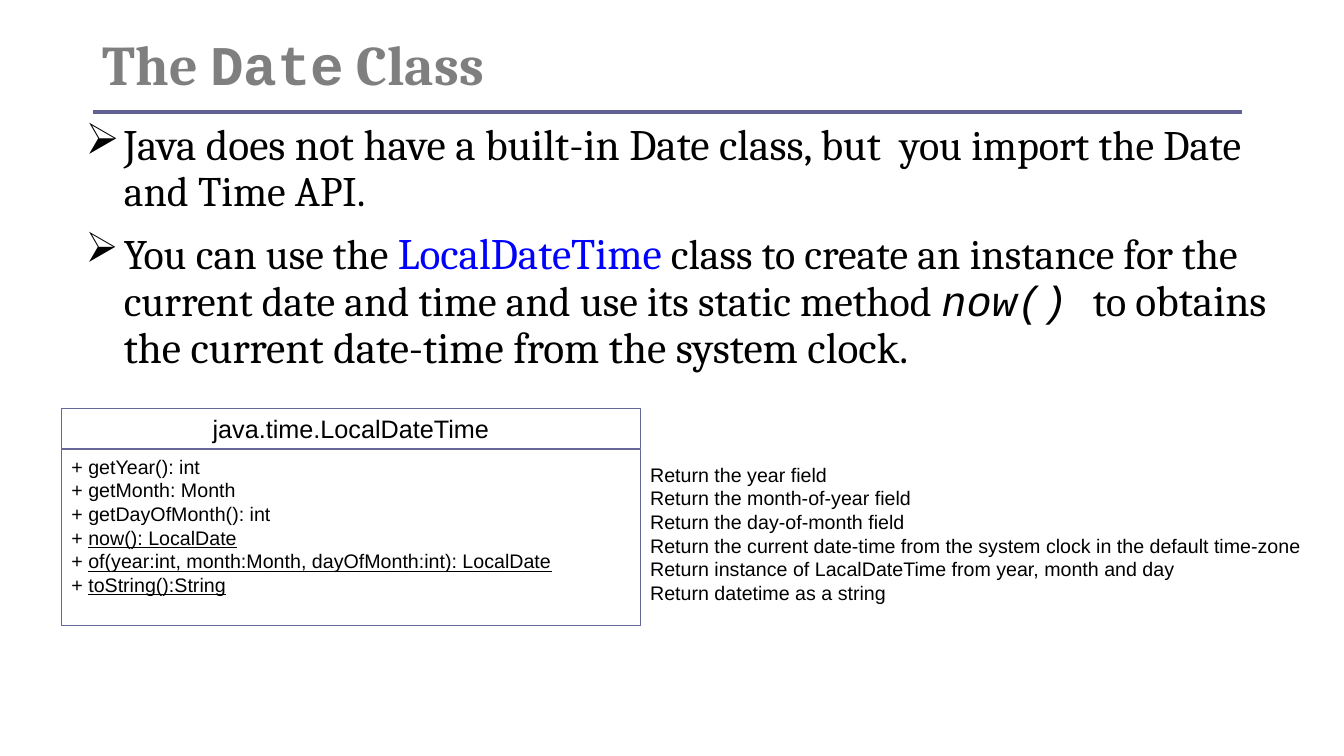
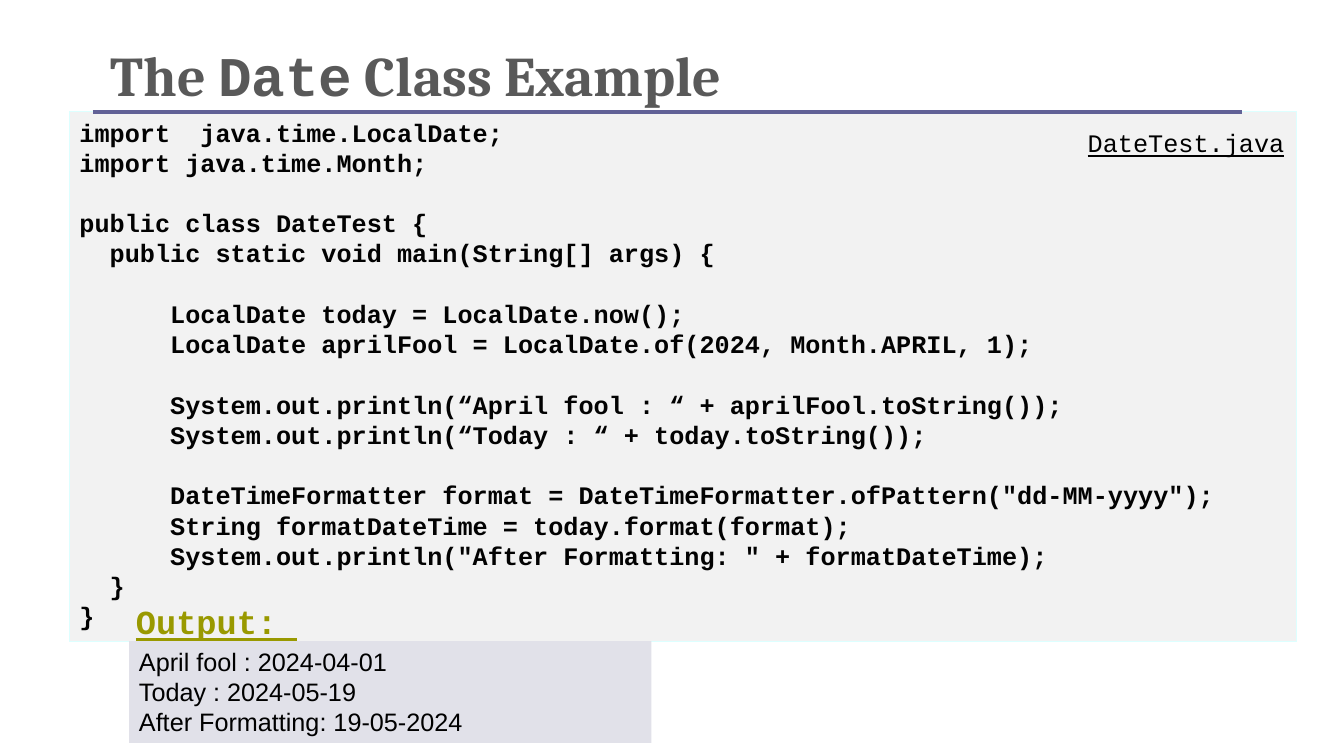
"""Build two slides about the Java date classes."""
from dataclasses import dataclass, replace
from typing import Optional, Union

from lxml import etree
from pptx import Presentation
from pptx.dml.color import RGBColor
from pptx.enum.shapes import MSO_CONNECTOR, MSO_SHAPE
from pptx.enum.text import MSO_ANCHOR, PP_ALIGN
from pptx.oxml.ns import qn
from pptx.util import Inches, Pt

RECTANGLE = MSO_SHAPE.RECTANGLE
STRAIGHT = MSO_CONNECTOR.STRAIGHT
TOP, BOTTOM = MSO_ANCHOR.TOP, MSO_ANCHOR.BOTTOM
LEFT, CENTER = PP_ALIGN.LEFT, PP_ALIGN.CENTER

COLORS = {
    "black": "000000",
    "code": "020202",
    "grey": "7F7F7F",
    "dark_grey": "595959",
    "blue": "0000FF",
    "olive": "999900",
    "rule": "616196",
    "uml_border": "666699",
    "code_fill": "F2F2F2",
    "code_border": "DDFFFF",
    "output_fill": "E1E1E9",
}
SERIF, SANS, MONO = "Cambria", "Arial", "Courier New"

CODE = """\
import  java.time.LocalDate;
import java.time.Month;

public class DateTest {
  public static void main(String[] args) {

      LocalDate today = LocalDate.now();
      LocalDate aprilFool = LocalDate.of(2024, Month.APRIL, 1);

      System.out.println(“April fool : “ + aprilFool.toString());
      System.out.println(“Today : “ + today.toString());

      DateTimeFormatter format = DateTimeFormatter.ofPattern("dd-MM-yyyy");
      String formatDateTime = today.format(format);
      System.out.println("After Formatting: " + formatDateTime);
  }
}"""


@dataclass(frozen=True)
class Run:
    """A stretch of text in one format."""
    text: str
    size: float = 18
    font: str = SANS
    color: str = "black"
    bold: bool = False
    italic: bool = False
    underline: bool = False


@dataclass(frozen=True)
class Box:
    """A place on the slide, in inches."""
    left: float
    top: float
    width: float
    height: float

    def lengths(self) -> list:
        """Return the four lengths that python-pptx expects."""
        return [Inches(n) for n in (self.left, self.top, self.width, self.height)]


@dataclass(frozen=True)
class Method:
    """A method of the class diagram and what it returns."""
    signature: str
    meaning: str
    underline: bool = False


METHODS = [
    Method("getYear(): int", "Return the year field"),
    Method("getMonth: Month", "Return the month-of-year field"),
    Method("getDayOfMonth(): int", "Return the day-of-month field"),
    Method("now(): LocalDate",
           "Return\u00a0the current date-time from the system clock in the default time-zone", True),
    Method("of(year:int, month:Month, dayOfMonth:int): LocalDate",
           "Return instance of LacalDateTime from year, month and day", True),
    Method("toString():String", "Return datetime as a string", True),
]
OUTPUT = ["April fool : 2024-04-01", "Today : 2024-05-19", "After Formatting: 19-05-2024"]


def rgb(name: str) -> RGBColor:
    """Look up a colour by name."""
    return RGBColor.from_string(COLORS[name])


def add_bullet(paragraph) -> None:
    """Give a paragraph a black arrowhead bullet."""
    properties = paragraph._p.get_or_add_pPr()
    color = etree.SubElement(properties, qn("a:buClr"))
    etree.SubElement(color, qn("a:srgbClr"), val=COLORS["black"])
    etree.SubElement(properties, qn("a:buFont"), typeface="Wingdings")
    etree.SubElement(properties, qn("a:buChar"), char="Ø")


def write_text(shape, paragraphs: list[list[Run]], *, anchor=TOP, align=LEFT,
               spacing: Union[float, Pt, None] = None, gap: float = 0,
               indent: tuple[float, float] = (0, 0), bullet: bool = False) -> None:
    """Fill a shape with paragraphs; an empty one becomes a gap of one line."""
    frame = shape.text_frame
    frame.word_wrap = True
    frame.vertical_anchor = anchor
    frame.margin_left = frame.margin_right = Inches(0.1)
    frame.margin_top = frame.margin_bottom = Inches(0.05)
    blank_line = False
    first = True
    for runs in paragraphs:
        if not runs:
            blank_line = True
            continue
        paragraph = frame.paragraphs[0] if first else frame.add_paragraph()
        properties = paragraph._p.get_or_add_pPr()
        if any(indent):
            properties.set("marL", str(Inches(indent[0])))
            properties.set("indent", str(Inches(indent[1])))
        if bullet:
            add_bullet(paragraph)
        paragraph.alignment = align
        if spacing is not None:
            paragraph.line_spacing = spacing
        if not first:
            paragraph.space_before = spacing if blank_line else Pt(gap)
        for item in runs:
            run = paragraph.add_run()
            run.text = item.text
            run.font.size = Pt(item.size)
            run.font.name = item.font
            run.font.color.rgb = rgb(item.color)
            run.font.bold = item.bold
            run.font.italic = item.italic
            run.font.underline = item.underline
        blank_line = first = False


def add_text(slide, box: Box, paragraphs: list[list[Run]], **text_format) -> None:
    """Add a plain text box."""
    write_text(slide.shapes.add_textbox(*box.lengths()), paragraphs, **text_format)


def add_panel(slide, box: Box, paragraphs: list[list[Run]], *, fill: Optional[str] = None,
              border: Optional[str] = None, **text_format) -> None:
    """Add a rectangle holding text."""
    panel = slide.shapes.add_shape(RECTANGLE, *box.lengths())
    panel.shadow.inherit = False
    if fill:
        panel.fill.solid()
        panel.fill.fore_color.rgb = rgb(fill)
    else:
        panel.fill.background()
    if border:
        panel.line.color.rgb = rgb(border)
        panel.line.width = Pt(0.75)
    else:
        panel.line.fill.background()
    write_text(panel, paragraphs, **text_format)


def add_title(slide, left: float, top: float, ending: str, color: str) -> None:
    """Add the heading with Date set as code."""
    base = Run("The ", 40, SERIF, color, bold=True)
    runs = [base, replace(base, text="Date", font=MONO), replace(base, text=ending)]
    add_text(slide, Box(left, top, 9.5, 0.58), [runs], anchor=BOTTOM, spacing=0.8)


def add_title_rule(slide) -> None:
    """Draw the line under the heading."""
    rule = slide.shapes.add_connector(
        STRAIGHT, Inches(0.92), Inches(1.11), Inches(12.32), Inches(1.11))
    rule.line.color.rgb = rgb("rule")
    rule.line.width = Pt(2.5)
    etree.SubElement(rule._element.spPr, qn("a:effectLst"))


def build_class_slide(slide) -> None:
    """Introduce the class and its methods."""
    add_title(slide, 0.92, 0.42, " Class", "grey")
    large, normal = Run("", 31, SERIF), Run("", 30, SERIF)
    add_text(slide, Box(0.75, 1.17, 12.05, 2.51), [
        [replace(large, text="Java does not have a built-in Date class, but "),
         replace(normal, text=" you import the Date and Time API.")],
        [replace(normal, text="You can use the "),
         replace(large, text="LocalDateTime", color="blue"),
         replace(normal, text=" class to create an instance for the current date and time "
                              "and use its static method "),
         replace(normal, text="now() ", font=MONO, italic=True),
         replace(normal, text="to "),
         replace(large, text="obtains the current date-time from the system clock.")],
    ], spacing=0.9, gap=12, indent=(0.38, -0.38), bullet=True)
    add_title_rule(slide)
    add_panel(slide, Box(0.61, 4.05, 5.74, 0.4), [[Run("java.time.LocalDateTime")]],
              border="uml_border", align=CENTER)
    signatures = [[Run("+ ", 14), Run(method.signature, 14, underline=method.underline)]
                  for method in METHODS]
    add_panel(slide, Box(0.61, 4.46, 5.74, 1.75), signatures,
              border="uml_border", spacing=Pt(16.9))
    add_text(slide, Box(6.35, 4.54, 6.87, 1.75),
             [[Run(method.meaning, 14)] for method in METHODS], spacing=Pt(16.9))


def build_example_slide(slide) -> None:
    """Show a program and its output."""
    add_title(slide, 1, 0.53, " Class Example", "dark_grey")
    code_lines = [[Run(line, font=MONO, color="code", bold=True)] if line else []
                  for line in CODE.splitlines()]
    add_panel(slide, Box(0.69, 1.11, 12.17, 5.25), code_lines,
              fill="code_fill", border="code_border", spacing=Pt(21.6))
    add_title_rule(slide)
    add_panel(slide, Box(1.28, 6.36, 5.18, 1.01), [[Run(line)] for line in OUTPUT],
              fill="output_fill", spacing=Pt(21.6))
    add_text(slide, Box(1.19, 5.91, 4.13, 0.45),
             [[Run("Output: ", 24, MONO, "olive", bold=True, underline=True)]],
             indent=(0.38, -0.32))
    add_text(slide, Box(10.69, 1.21, 2.16, 0.4),
             [[Run("DateTest.java", font=MONO, underline=True)]])


def main() -> None:
    """Build and save the presentation."""
    deck = Presentation()
    deck.slide_width, deck.slide_height = Inches(13.33), Inches(7.5)
    blank = deck.slide_layouts[6]
    for build in (build_class_slide, build_example_slide):
        build(deck.slides.add_slide(blank))
    deck.save("out.pptx")


if __name__ == "__main__":
    main()
